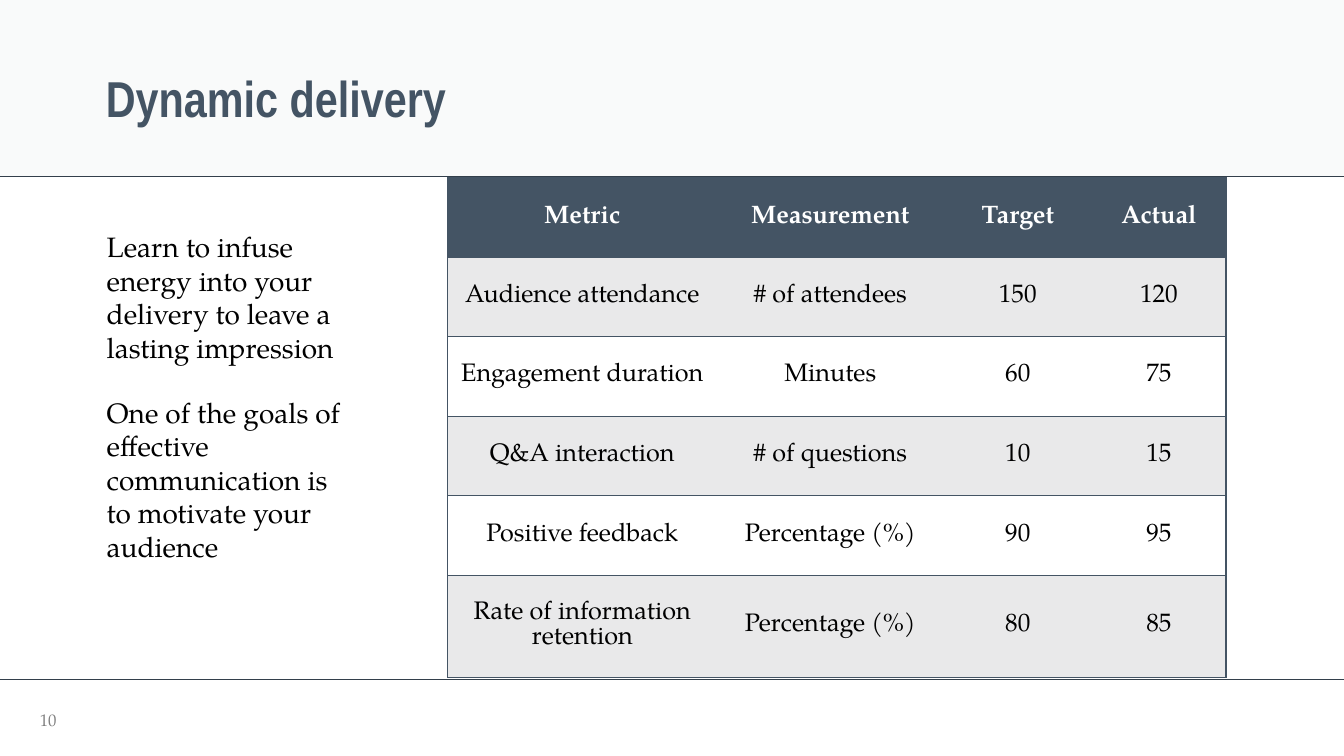
from lxml import etree
from pptx import Presentation
from pptx.dml.color import RGBColor
from pptx.enum.shapes import MSO_CONNECTOR
from pptx.enum.text import MSO_ANCHOR, MSO_AUTO_SIZE, PP_ALIGN
from pptx.oxml.ns import qn
from pptx.util import Inches, Pt

SLATE = RGBColor(0x44, 0x54, 0x64)
RULE = RGBColor(0x33, 0x3F, 0x4B)
MIST = RGBColor(0xC5, 0xCF, 0xCE)
BAND = RGBColor(0xE9, 0xE9, 0xEA)
GRAY = RGBColor(0x80, 0x80, 0x80)
BLACK = RGBColor(0, 0, 0)
WHITE = RGBColor(0xFF, 0xFF, 0xFF)
SERIF = "TeX Gyre Pagella"
SLIDE_WIDTH = 13.33
HEADER_HEIGHT = 1.75
FOOTER_TOP = 6.74

MESSAGES = [
    "Learn to infuse energy into your delivery to leave a lasting impression",
    "One of the goals of effective communication is to motivate your audience",
]
METRICS = [
    ("Metric", "Measurement", "Target", "Actual"),
    ("Audience attendance", "# of attendees", "150", "120"),
    ("Engagement duration", "Minutes", "60", "75"),
    ("Q&A interaction", "# of questions", "10", "15"),
    ("Positive feedback", "Percentage (%)", "90", "95"),
    ("Rate of information retention", "Percentage (%)", "80", "85"),
]
COLUMN_WIDTHS = [2.67, 2.25, 1.47, 1.33]
ROW_HEIGHTS = [0.79] * 5 + [1.01]


def write_text(paragraph, text, size=18, font=SERIF, color=BLACK, bold=False,
               align=PP_ALIGN.LEFT, spacing=1.0, before=0):
    """Put formatted text into a paragraph."""
    paragraph.alignment = align
    paragraph.line_spacing = spacing
    paragraph.space_before = Pt(before)
    run = paragraph.add_run()
    run.text = text
    run.font.size = Pt(size)
    run.font.name = font
    run.font.bold = bold
    run.font.color.rgb = color


def add_title(slide, left, top, width, height):
    """Place the title on its translucent header band."""
    title = slide.shapes.title
    title.left, title.top = Inches(left), Inches(top)
    title.width, title.height = Inches(width), Inches(height)
    title.fill.solid()
    title.fill.fore_color.rgb = MIST
    color = title.fill._xPr.find(qn("a:solidFill"))[0]
    etree.SubElement(color, qn("a:alpha"), val="10000")
    frame = title.text_frame
    frame.auto_size = MSO_AUTO_SIZE.NONE
    frame.word_wrap = True
    frame.vertical_anchor = MSO_ANCHOR.MIDDLE
    frame.margin_left, frame.margin_top = Inches(1.05), Inches(0.3)
    write_text(frame.paragraphs[0], "Dynamic delivery", size=36,
               font="Arial Narrow", color=SLATE, bold=True, spacing=0.9)


def add_rule(slide, top):
    """Draw a horizontal rule across the slide."""
    rule = slide.shapes.add_connector(
        MSO_CONNECTOR.STRAIGHT, 0, Inches(top), Inches(SLIDE_WIDTH), Inches(top))
    rule.line.color.rgb = RULE
    rule.line.width = Pt(1)
    etree.SubElement(rule._element.spPr, qn("a:effectLst"))


def add_messages(slide, left, top, width, height):
    """Place the explanatory paragraphs beside the table."""
    box = slide.shapes.add_textbox(
        Inches(left), Inches(top), Inches(width), Inches(height))
    frame = box.text_frame
    frame.word_wrap = True
    frame.margin_right = Inches(0.24)
    for index, message in enumerate(MESSAGES):
        paragraph = frame.add_paragraph() if index else frame.paragraphs[0]
        write_text(paragraph, message, size=20, before=22 if index else 0)


def set_border(cell, side, visible):
    """Add one border to a cell, slate when visible and empty otherwise."""
    line = etree.SubElement(
        cell._tc.get_or_add_tcPr(), qn(f"a:ln{side}"), w=str(Pt(1)))
    if visible:
        fill = etree.SubElement(line, qn("a:solidFill"))
        etree.SubElement(fill, qn("a:srgbClr"), val=str(SLATE))
    else:
        etree.SubElement(line, qn("a:noFill"))


def add_metrics_table(slide, left, top, width, height):
    """Place the banded table of metrics."""
    table = slide.shapes.add_table(
        len(METRICS), len(COLUMN_WIDTHS), Inches(left), Inches(top),
        Inches(width), Inches(height)).table
    table.horz_banding = False
    for column, column_width in zip(table.columns, COLUMN_WIDTHS):
        column.width = Inches(column_width)
    last = len(COLUMN_WIDTHS) - 1
    for row_index, values in enumerate(METRICS):
        table.rows[row_index].height = Inches(ROW_HEIGHTS[row_index])
        header = row_index == 0
        fill = SLATE if header else BAND if row_index % 2 else WHITE
        for column_index, value in enumerate(values):
            cell = table.cell(row_index, column_index)
            set_border(cell, "L", column_index == 0)
            set_border(cell, "R", column_index == last)
            set_border(cell, "T", True)
            set_border(cell, "B", True)
            cell.fill.solid()
            cell.fill.fore_color.rgb = fill
            cell.vertical_anchor = MSO_ANCHOR.MIDDLE
            write_text(cell.text_frame.paragraphs[0], value, bold=header,
                       color=WHITE if header else BLACK,
                       align=PP_ALIGN.CENTER, spacing=Pt(18))


def add_slide_number(slide, left, top, width, height):
    """Place the slide number in the footer."""
    box = slide.shapes.add_textbox(
        Inches(left), Inches(top), Inches(width), Inches(height))
    frame = box.text_frame
    frame.word_wrap = True
    frame.vertical_anchor = MSO_ANCHOR.MIDDLE
    write_text(frame.paragraphs[0], "10", size=12, color=GRAY,
               align=PP_ALIGN.RIGHT)


def main():
    """Build and save the presentation."""
    presentation = Presentation()
    presentation.slide_width = Inches(SLIDE_WIDTH)
    presentation.slide_height = Inches(7.5)
    slide = presentation.slides.add_slide(presentation.slide_layouts[5])
    add_title(slide, 0, 0, SLIDE_WIDTH, HEADER_HEIGHT)
    for top in (HEADER_HEIGHT, FOOTER_TOP):
        add_rule(slide, top)
    add_messages(slide, 0.96, 2.23, 2.7, 4.09)
    add_metrics_table(slide, 4.44, 1.76, sum(COLUMN_WIDTHS), sum(ROW_HEIGHTS))
    add_slide_number(slide, 0.09, 6.99, 0.57, 0.3)
    presentation.save("out.pptx")


if __name__ == "__main__":
    main()
